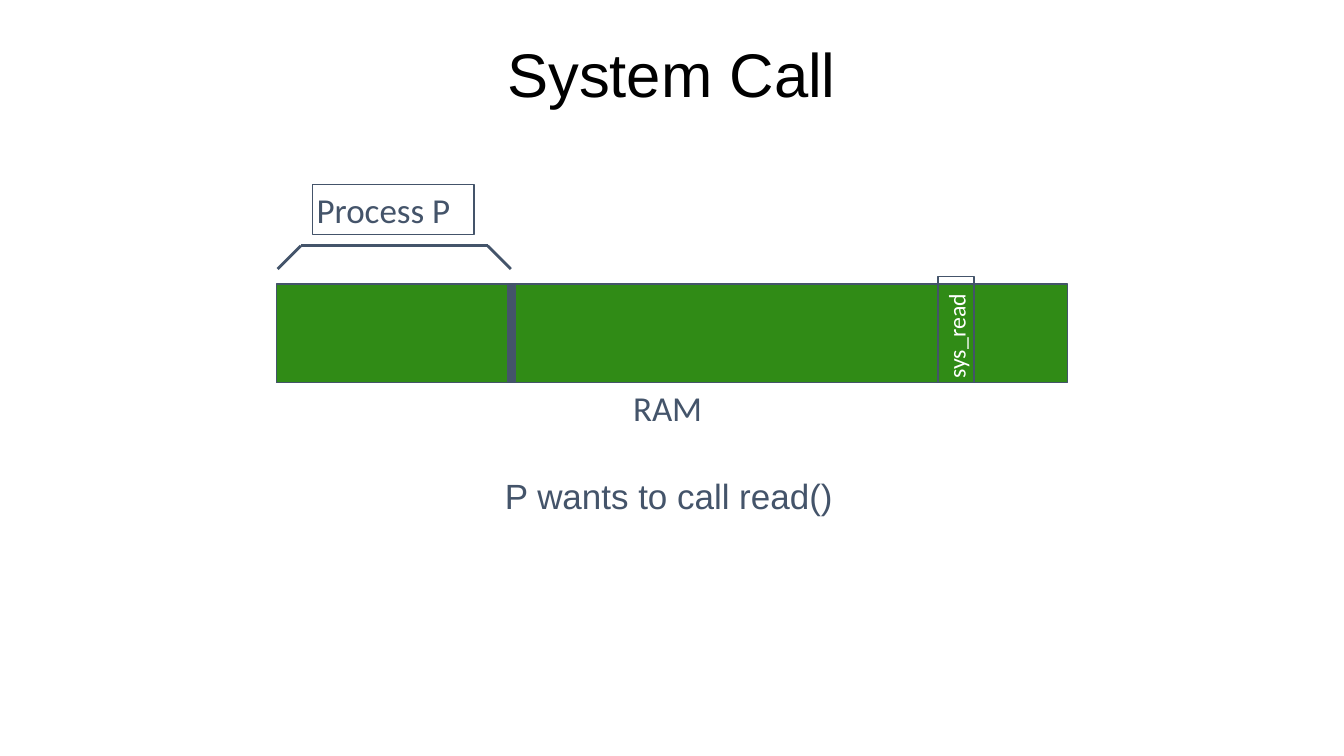
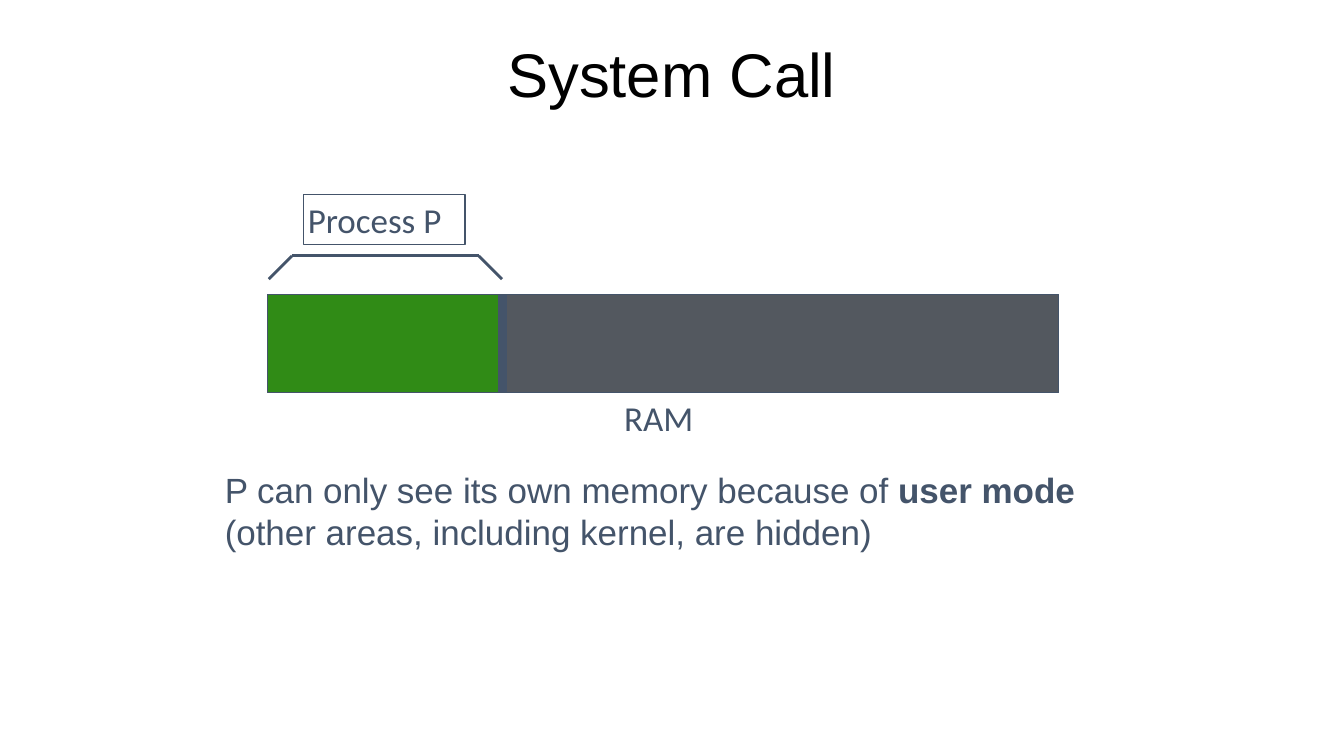
import pptx
import pptx.util
import pptx.dml.color
import pptx.enum.shapes
import pptx.enum.text
from lxml import etree

Pt = pptx.util.Pt
RGB = pptx.dml.color.RGBColor
RECT = pptx.enum.shapes.MSO_SHAPE.RECTANGLE
STRAIGHT = pptx.enum.shapes.MSO_CONNECTOR.STRAIGHT
ALIGN = pptx.enum.text.PP_ALIGN
MIDDLE = pptx.enum.text.MSO_ANCHOR.MIDDLE

SLATE = RGB(0x44, 0x54, 0x6A)
GREEN = RGB(0x30, 0x8B, 0x16)
GREY = RGB(0x53, 0x58, 0x5F)
BLACK = RGB(0, 0, 0)
WHITE = RGB(0xFF, 0xFF, 0xFF)

TITLE = {"name": "Arial", "size": Pt(44), "color": BLACK}
BODY = {"name": "Arial", "size": Pt(25), "color": SLATE}
LABEL = {"name": "Calibri", "size": Pt(25), "color": SLATE}
SMALL = {"name": "Calibri", "size": Pt(17), "color": WHITE}

BAR_W, BAR_H, PROCESS_W = 565.2, 70.4, 168


def add_box(s, x, y, w, h, paragraphs=(), fmt=None, fill=None, line=None,
            align=ALIGN.LEFT, inset=2.9):
    """Rectangle or text box; paragraphs are lists of (text, bold) runs."""
    at = [Pt(v) for v in (x, y, w, h)]
    if fill or line:
        sp = s.shapes.add_shape(RECT, *at)
        sp.shadow.inherit = False
        if fill:
            sp.fill.solid()
            sp.fill.fore_color.rgb = fill
        else:
            sp.fill.background()
        sp.line.color.rgb = line
        sp.line.width = Pt(1)
    else:
        sp = s.shapes.add_textbox(*at)
    tf = sp.text_frame
    tf.word_wrap = True
    tf.vertical_anchor = MIDDLE
    for side in ("left", "top", "right", "bottom"):
        setattr(tf, f"margin_{side}", Pt(inset))
    for i, runs in enumerate(paragraphs):
        p = tf.add_paragraph() if i else tf.paragraphs[0]
        p.alignment = align
        for text, bold in runs:
            r = p.add_run()
            r.text = text
            r.font.bold = bold
            for key, value in fmt.items():
                if key == "color":
                    r.font.color.rgb = value
                else:
                    setattr(r.font, key, value)
    return sp


def add_line(s, x1, y1, x2, y2, width):
    c = s.shapes.add_connector(STRAIGHT, *[Pt(v) for v in (x1, y1, x2, y2)])
    c.line.color.rgb = SLATE
    c.line.width = Pt(width)
    etree.SubElement(c._element.spPr, pptx.oxml.ns.qn("a:effectLst"))


prs = pptx.Presentation()
prs.slide_width, prs.slide_height = Pt(960), Pt(540)

# Each slide: bar corner, whether other memory is hidden, message box and text
slides = [
    (197.3, 203, False, (357.8, 336.2, 254.2, 36),
     [[("P wants to call read()", False)]]),
    (191, 210.2, True, (157.7, 331.2, 631.4, 66.2),
     [[("P can only see its own memory because of ", False), ("user mode", True)],
      [("(other areas, including kernel, are hidden)", False)]]),
]

for x, y, hidden, message_at, message in slides:
    s = prs.slides.add_slide(prs.slide_layouts[6])

    # Title
    sp = add_box(s, 181.4, 5, 596.9, 100.8, [[("System Call", False)]], TITLE,
                 align=ALIGN.CENTER, inset=3.6)
    sp.text_frame.paragraphs[0].line_spacing = 0.9

    # Memory bar
    add_box(s, x, y, PROCESS_W if hidden else BAR_W, BAR_H, fill=GREEN, line=SLATE)
    if hidden:
        add_box(s, x + PROCESS_W, y, BAR_W - PROCESS_W, BAR_H, fill=GREY, line=SLATE)
    add_line(s, x + PROCESS_W, y + BAR_H, x + PROCESS_W, y, 6)
    add_box(s, x + 252, y + 70, 70, 36, [[("RAM", False)]], LABEL)

    # Process bracket and label
    bracket = [(x + 1, y - 10.8), (x + 17.6, y - 27.4),
               (x + 151, y - 27.4), (x + 167.6, y - 10.8)]
    for start, end in zip(bracket, bracket[1:]):
        add_line(s, *start, *end, 2)
    add_box(s, x + 26, y - 71.3, 115.2, 36, [[("Process P", False)]], LABEL, line=SLATE)

    # Kernel routine, visible only when the whole memory is
    if not hidden:
        sp = add_box(s, 645.1, 222.5, 75.6, 25.9, [[("sys_read", False)]], SMALL, line=SLATE)
        sp.rotation = 270

    # Message
    add_box(s, *message_at, message, BODY)

prs.save("out.pptx")
